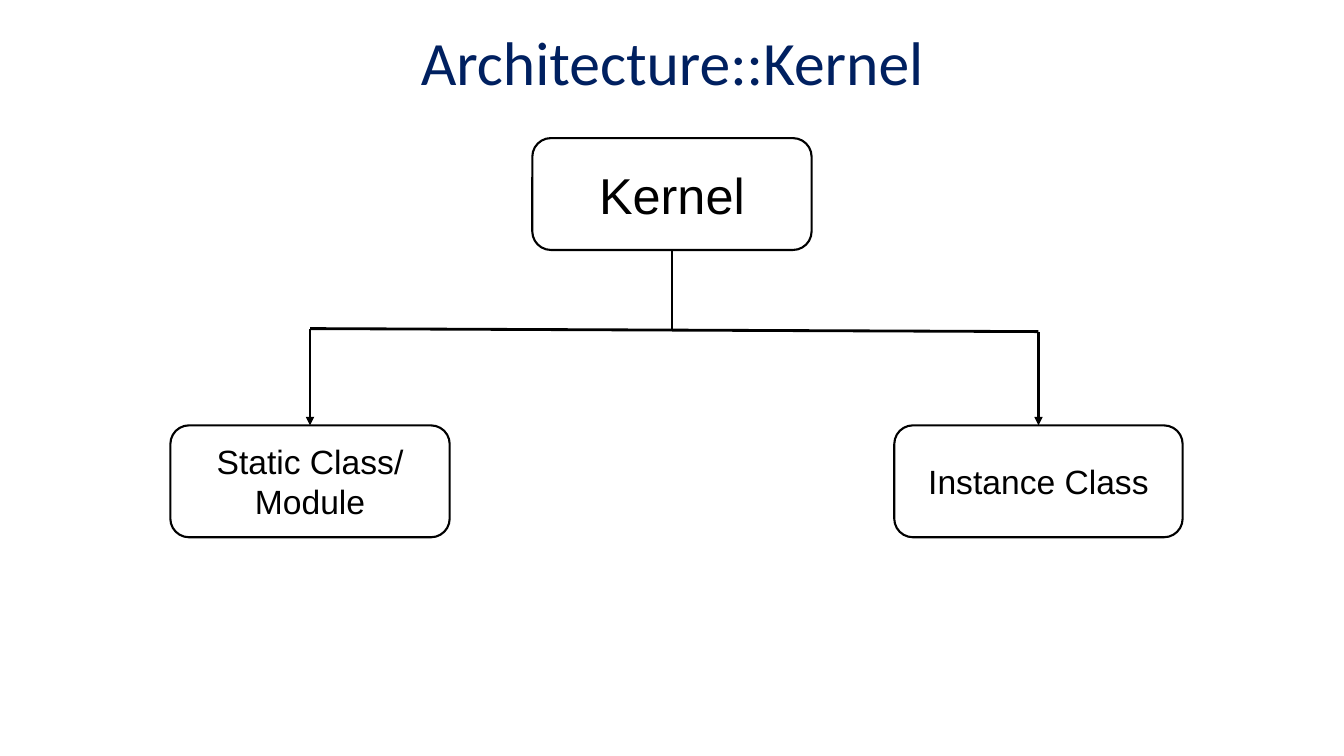
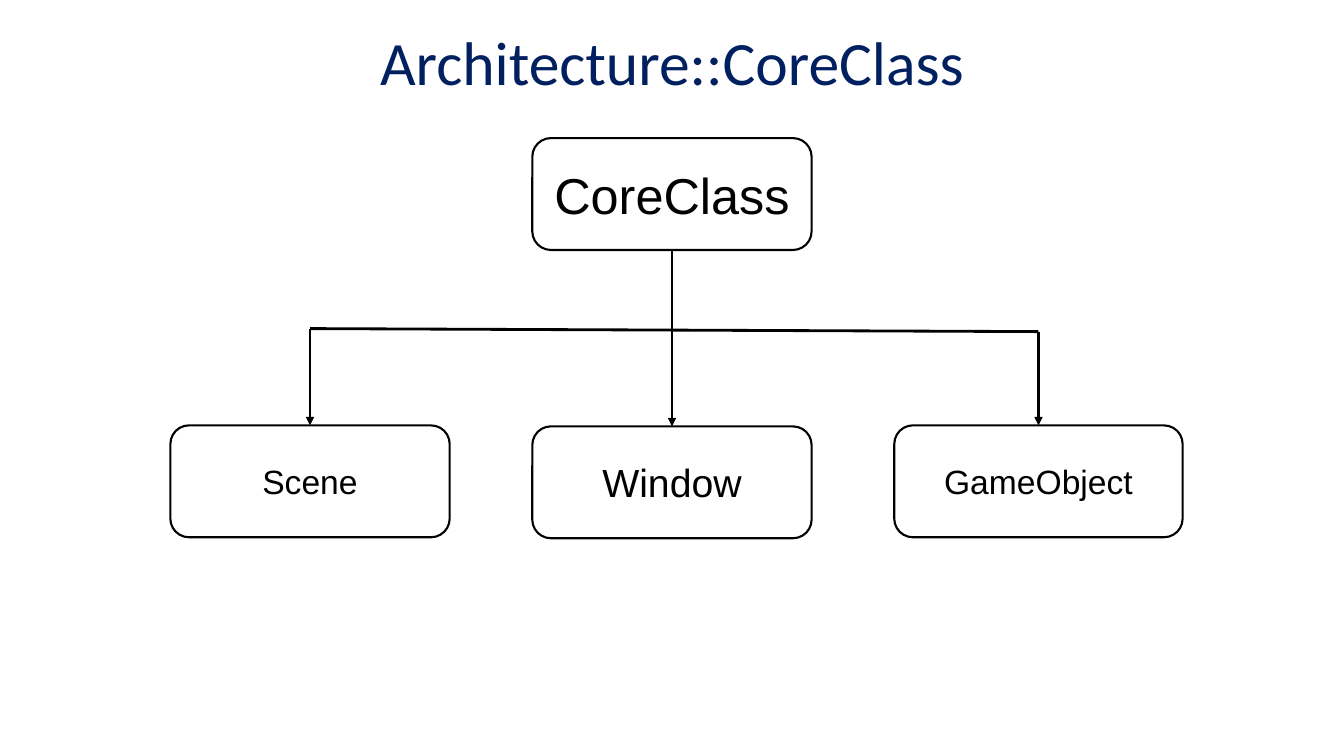
from collections import namedtuple

from lxml.etree import SubElement
from pptx import Presentation
from pptx.dml.color import RGBColor
from pptx.enum.shapes import MSO_CONNECTOR as Connector, MSO_SHAPE as Shape
from pptx.enum.text import MSO_ANCHOR as Anchor, PP_ALIGN as Align
from pptx.oxml.ns import qn
from pptx.util import Inches, Pt

NAVY = RGBColor(0x00, 0x20, 0x60)
BLACK = RGBColor(0x00, 0x00, 0x00)
TITLE_FONT = "Calibri"
NODE_FONT = "Arial"

Box = namedtuple("Box", "left top width height")
TITLE_BOX = Box(0.92, -0.08, 11.5, 1.45)
TREE_BOX = Box(1.69, 1.37, 10.04, 3.96)

NODE_WIDTH = 2.77
LAST_NODE_WIDTH = 2.86
NODE_HEIGHT = 1.11
COLUMN_STEP = 3.59
BAR_DROP = 1.89
BAR_SLOPE = 0.03
MIDDLE_DROP = 0.01

SLIDES = [
    ("Architecture::Kernel", "Kernel",
     [("Static Class/\vModule", 24), None, ("Instance Class", 24)]),
    ("Architecture::CoreClass", "CoreClass",
     [("Scene", 24), ("Window", 28), ("GameObject", 24)]),
]


def write_text(shape, text, font_name, size, color):
    frame = shape.text_frame
    frame.word_wrap = True
    frame.vertical_anchor = Anchor.MIDDLE
    frame.text = text
    para = frame.paragraphs[0]
    para.alignment = Align.CENTER
    for span in para.runs:
        span.font.name = font_name
        span.font.size = Pt(size)
        span.font.color.rgb = color
    return para


def add_title(page, box, text):
    title = page.shapes.add_textbox(*map(Inches, box))
    para = write_text(title, text, TITLE_FONT, 44, NAVY)
    para.line_spacing = 0.9


def add_node(page, box, text, size):
    node = page.shapes.add_shape(Shape.ROUNDED_RECTANGLE, *map(Inches, box))
    node.shadow.inherit = False
    node.fill.background()
    node.line.color.rgb = BLACK
    node.line.width = Pt(1.5)
    write_text(node, text, NODE_FONT, size, BLACK)


def add_line(page, start, end, arrow=False):
    line = page.shapes.add_connector(
        Connector.STRAIGHT, *map(Inches, start + end))
    line.line.color.rgb = BLACK
    line.line.width = Pt(2)
    if arrow:
        outline = line.line._get_or_add_ln()
        SubElement(outline, qn("a:tailEnd"), type="triangle")
    SubElement(line._element.spPr, qn("a:effectLst"))


def add_tree(page, box, root, children):
    root_left = box.left + COLUMN_STEP
    child_top = box.top + box.height - NODE_HEIGHT
    bar_top = box.top + BAR_DROP
    widths = [NODE_WIDTH, NODE_WIDTH, LAST_NODE_WIDTH]
    tops = [child_top, child_top + MIDDLE_DROP, child_top]
    lefts = [box.left + column * COLUMN_STEP for column in range(3)]
    centers = [left + width / 2 for left, width in zip(lefts, widths)]

    add_node(page, Box(root_left, box.top, NODE_WIDTH, NODE_HEIGHT), root, 36)
    for child, left, top, width in zip(children, lefts, tops, widths):
        if child:
            add_node(page, Box(left, top, width, NODE_HEIGHT), *child)

    bar_start = (centers[0], bar_top)
    bar_end = (centers[2], bar_top + BAR_SLOPE)
    add_line(page, bar_start, bar_end)
    for corner in (bar_end, bar_start):
        add_line(page, corner, (corner[0], child_top), arrow=True)

    has_middle = children[1] is not None
    trunk_end = tops[1] if has_middle else bar_top
    add_line(page, (centers[1], box.top + NODE_HEIGHT),
             (centers[1], trunk_end), arrow=has_middle)


def main():
    deck = Presentation()
    deck.slide_width = Inches(13.33)
    deck.slide_height = Inches(7.5)
    for title, root, children in SLIDES:
        page = deck.slides.add_slide(deck.slide_layouts[6])
        add_title(page, TITLE_BOX, title)
        add_tree(page, TREE_BOX, root, children)
    deck.save("out.pptx")


if __name__ == "__main__":
    main()
